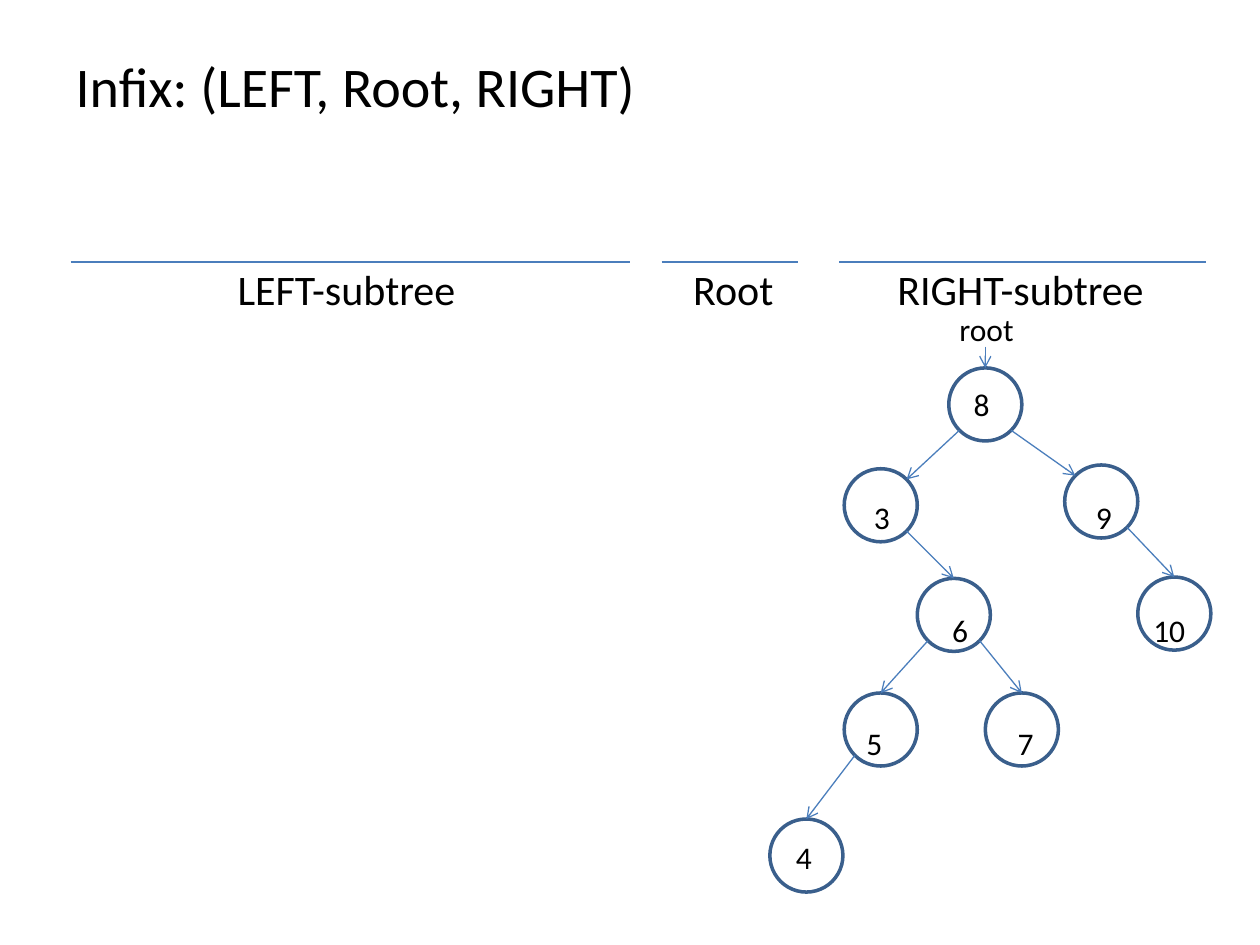
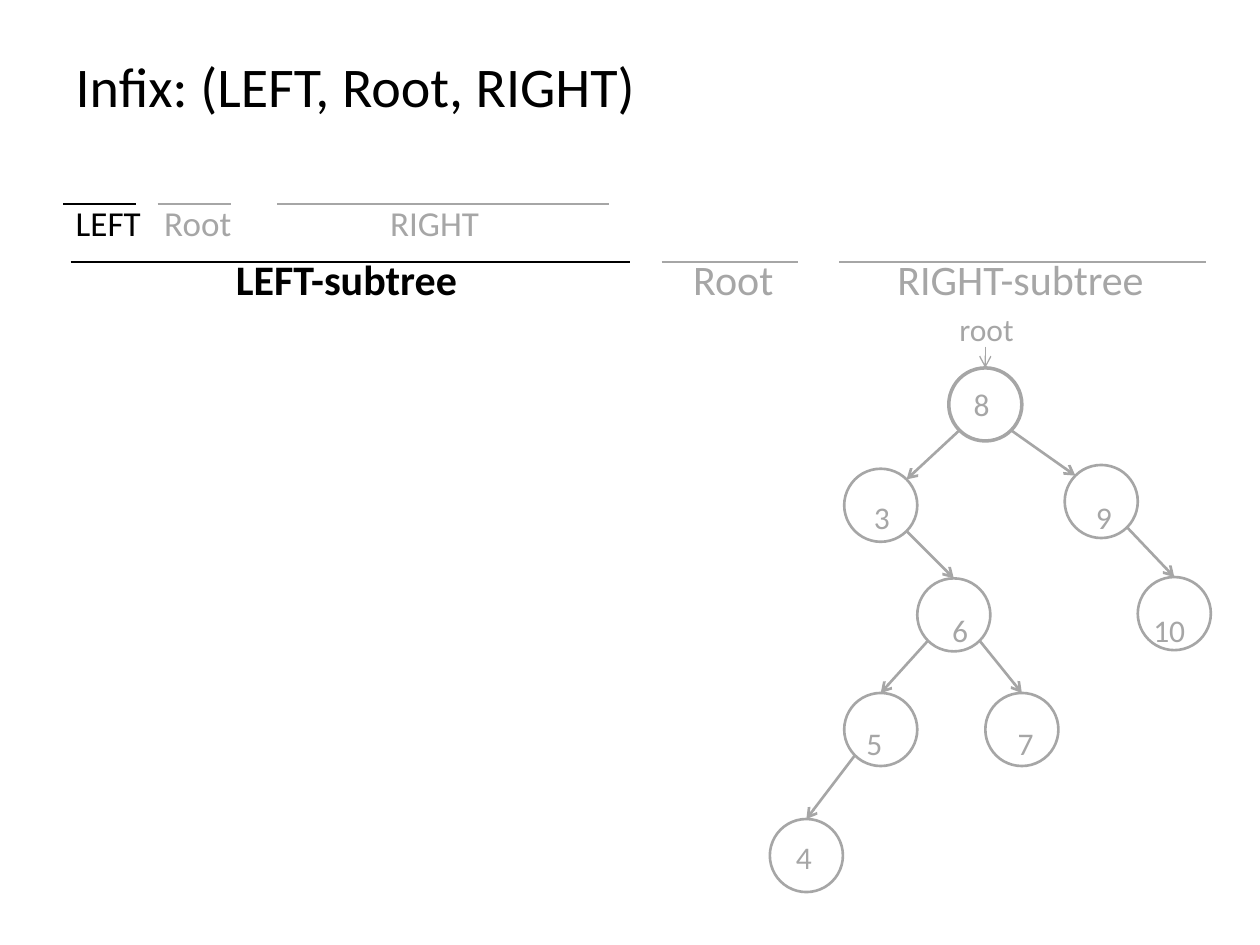
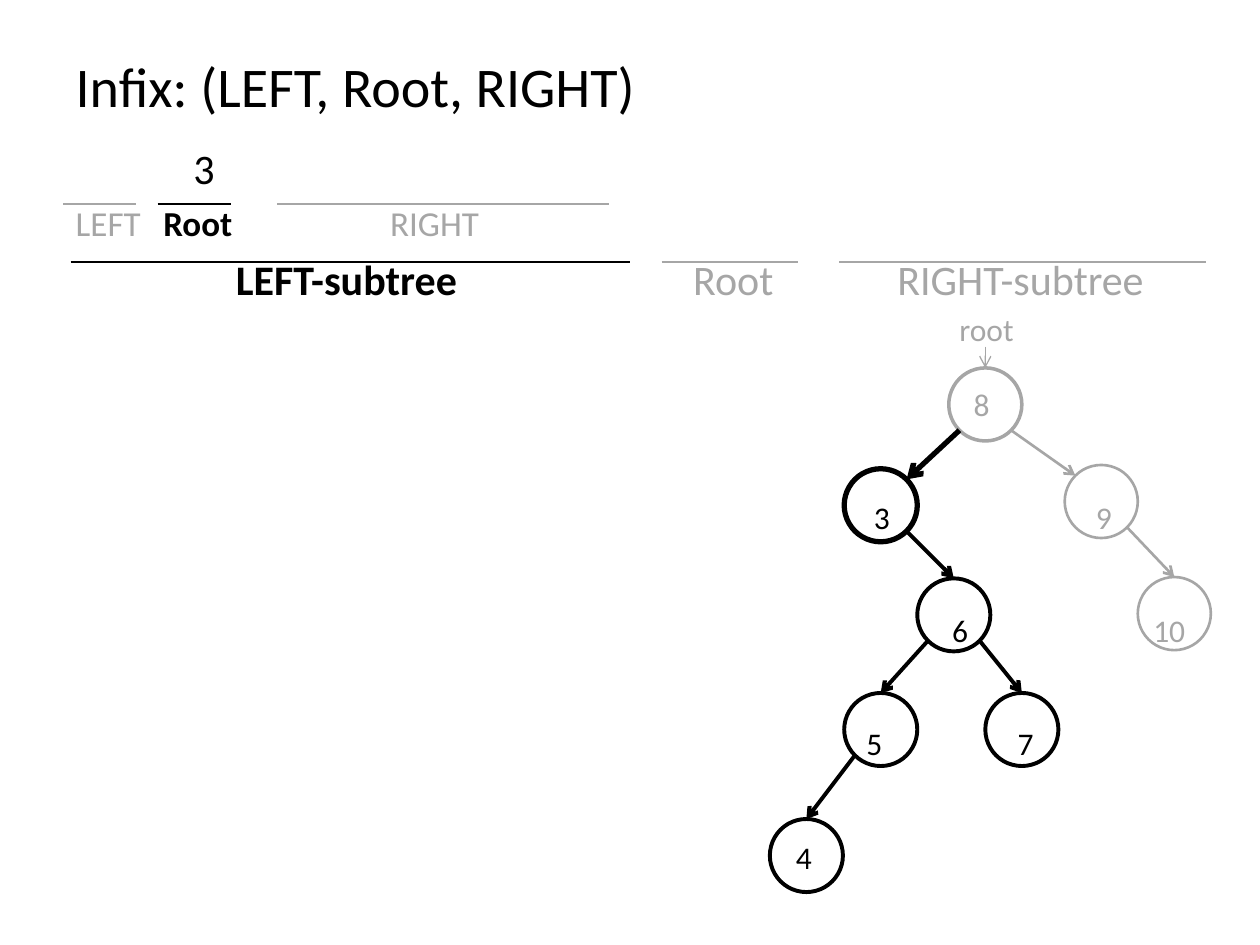
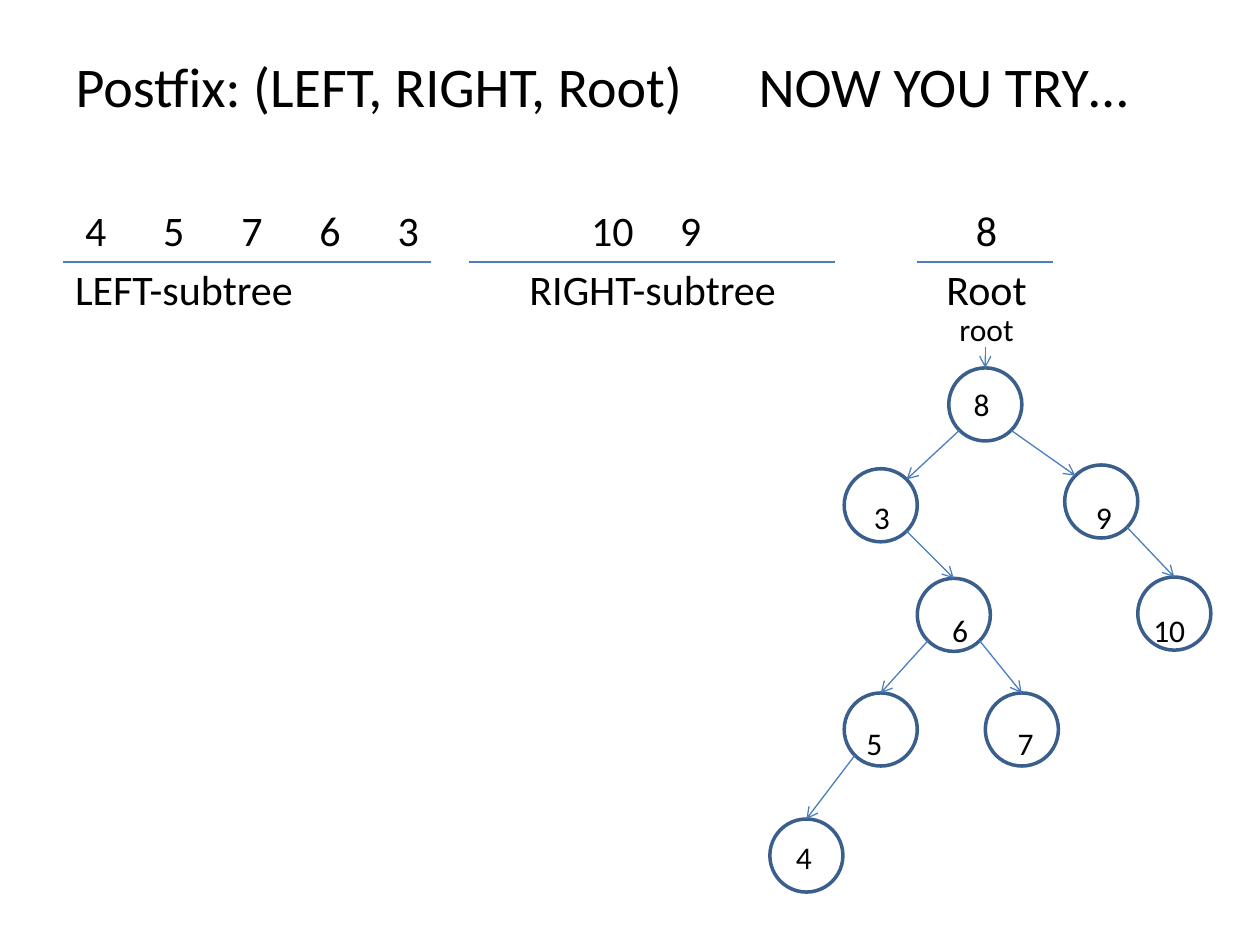
import math
from dataclasses import dataclass, field
from typing import Any, Optional

import pptx
import pptx.dml.color
import pptx.enum.shapes
import pptx.enum.text
import pptx.oxml.ns
import pptx.util
from lxml import etree
from pptx.util import Inches

RGBColor = pptx.dml.color.RGBColor
qn = pptx.oxml.ns.qn

# Shared colours and measures
BLACK = RGBColor(0x00, 0x00, 0x00)
GREY = RGBColor(0xA6, 0xA6, 0xA6)
NODE_BLUE = RGBColor(0x3A, 0x5F, 0x8C)
LINE_BLUE = RGBColor(0x4B, 0x7E, 0xBC)
FONT = "Calibri"
THIN = 0.75
DIAMETER = 0.58
RADIUS = DIAMETER / 2
TEXT_LEFT, TEXT_WIDTH = 0.5, 9.33
TREE_LEFT, TREE_TOP, TREE_WIDTH, TREE_HEIGHT = 5.99, 2.46, 3.6, 4.54
NO_MARGINS = dict.fromkeys(
    ("margin_left", "margin_right", "margin_top", "margin_bottom"), 0)


@dataclass(frozen=True)
class Pen:
    color: RGBColor
    width: float = THIN


@dataclass(frozen=True)
class Label:
    """A text centred on a horizontal position of the page."""
    text: str
    center: float
    ink: RGBColor = BLACK
    bold: bool = False


@dataclass(frozen=True)
class Section:
    """A ruled part of the traversal, with its caption below the rule."""
    caption: str
    center: float
    start: float
    end: float


@dataclass(frozen=True)
class SectionRow:
    sections: list[Section]
    rule_y: float
    caption_top: float
    size: float = 24
    active: Optional[str] = None
    bold: bool = False
    muted: bool = False


@dataclass(frozen=True)
class ValueRow:
    labels: list[Label]
    top: float


@dataclass(frozen=True)
class Node:
    value: int
    left: float
    top: float
    label_center: float
    level: int
    parent: Optional[int] = None

    @property
    def middle(self) -> tuple[float, float]:
        return self.left + RADIUS, self.top + RADIUS

    def corner(self, across: int, down: int) -> tuple[float, float]:
        """Point on the circle, diagonally from its middle."""
        reach = RADIUS * math.sqrt(0.5)
        x, y = self.middle
        return x + across * reach, y + down * reach


@dataclass(frozen=True)
class TreeLook:
    node: Pen
    edge: Pen
    ink: RGBColor
    special: dict[int, Pen] = field(default_factory=dict)

    def ink_of(self, value: int) -> RGBColor:
        return self.special[value].color if value in self.special else self.ink


@dataclass(frozen=True)
class TraversalSlide:
    title: str
    look: TreeLook
    section_rows: list[SectionRow]
    value_rows: list[ValueRow] = field(default_factory=list)


# The binary search tree
NODES = [
    Node(8, 7.53, 2.92, 7.79, 0),
    Node(3, 6.7, 3.72, 7.0, 1, 8),
    Node(9, 8.45, 3.69, 8.76, 1, 8),
    Node(6, 7.28, 4.59, 7.62, 2, 3),
    Node(5, 6.7, 5.5, 6.94, 3, 6),
    Node(7, 7.82, 5.5, 8.14, 3, 6),
    Node(10, 9.03, 4.58, 9.28, 2, 9),
    Node(4, 6.11, 6.5, 6.38, 4, 5),
]
BY_VALUE = {node.value: node for node in NODES}

PLAIN = TreeLook(Pen(NODE_BLUE, 2), Pen(LINE_BLUE), BLACK)
FADED = TreeLook(Pen(GREY, 1.5), Pen(GREY, 1.5), GREY, {8: Pen(GREY, 2)})
LEFT_ACTIVE = TreeLook(
    FADED.node, FADED.edge, GREY,
    FADED.special | {3: Pen(BLACK, 3)}
    | {value: Pen(BLACK, 2.25) for value in (4, 5, 6, 7)})

# The traversal sections
INFIX = [
    Section("LEFT-subtree", 2.75, 0.56, 5),
    Section("Root", 5.82, 5.25, 6.33),
    Section("RIGHT-subtree", 8.1, 6.66, 9.57),
]
INFIX_LEFT = [
    Section("LEFT", 0.86, 0.5, 1.08),
    Section("Root", 1.57, 1.25, 1.83),
    Section("RIGHT", 3.45, 2.2, 4.83),
]
POSTFIX = [
    Section("LEFT-subtree", 1.46, 0.5, 3.42),
    Section("RIGHT-subtree", 5.18, 3.72, 6.63),
    Section("Root", 7.83, 7.28, 8.36),
]
IN_LEFT = SectionRow(INFIX, 2.08, 2.01, active="LEFT-subtree", bold=True, muted=True)
POSTFIX_VALUES = (
    [Label(text, 0.76 + 0.62 * i) for i, text in enumerate("45763")]
    + [Label("10", 4.86), Label("9", 5.48), Label("8", 7.83)])

INFIX_TITLE = "Infix: (LEFT, Root, RIGHT)"
SLIDES = [
    TraversalSlide(INFIX_TITLE, PLAIN, [SectionRow(INFIX, 2.08, 2.09)]),
    TraversalSlide(INFIX_TITLE, FADED, [
        SectionRow(INFIX_LEFT, 1.62, 1.6, 20, "LEFT", muted=True), IN_LEFT]),
    TraversalSlide(INFIX_TITLE, LEFT_ACTIVE, [
        SectionRow(INFIX_LEFT, 1.62, 1.6, 20, "Root", True, True), IN_LEFT],
        [ValueRow([Label("3", 1.62)], 1.13)]),
    TraversalSlide("Postfix: (LEFT, RIGHT, Root)\tNOW YOU TRY…", PLAIN,
                   [SectionRow(POSTFIX, 2.08, 2.09)],
                   [ValueRow(POSTFIX_VALUES, 1.62)]),
]


# Drawing helpers
def set_values(target: Any, values: dict[str, Any]) -> None:
    for name, value in values.items():
        setattr(target, name, value)


def format_font(font: Any, size: float, ink: RGBColor, bold: bool = False) -> None:
    set_values(font, {"name": FONT, "size": pptx.util.Pt(size), "bold": bold})
    font.color.rgb = ink


def draw_pen(line: Any, pen: Pen) -> None:
    line.color.rgb = pen.color
    line.width = pptx.util.Pt(pen.width)


def add_tabs(paragraph: Any, stops: list[float], align: str) -> None:
    tabs = etree.SubElement(paragraph._p.get_or_add_pPr(), qn("a:tabLst"))
    for stop in stops:
        etree.SubElement(tabs, qn("a:tab"), pos=str(int(Inches(stop))), algn=align)


def add_text_frame(slide: Any, left: float, top: float, width: float,
                   height: float) -> Any:
    frame = slide.shapes.add_textbox(
        Inches(left), Inches(top), Inches(width), Inches(height)).text_frame
    set_values(frame, NO_MARGINS | {"word_wrap": True})
    return frame


def write_labels(paragraph: Any, labels: list[Label], left: float,
                 size: float) -> None:
    """Write labels on one line, each centred on its own tab stop."""
    add_tabs(paragraph, [label.center - left for label in labels], "ctr")
    for label in labels:
        run = paragraph.add_run()
        run.text = "\t" + label.text
        format_font(run.font, size, label.ink, label.bold)


def add_label_row(slide: Any, labels: list[Label], top: float, size: float) -> None:
    frame = add_text_frame(slide, TEXT_LEFT, top, TEXT_WIDTH, 0.4)
    write_labels(frame.paragraphs[0], labels, TEXT_LEFT, size)


def add_line(slide: Any, start: tuple[float, float], end: tuple[float, float],
             pen: Pen, arrow: bool = False) -> Any:
    connector = slide.shapes.add_connector(
        pptx.enum.shapes.MSO_CONNECTOR.STRAIGHT, *map(Inches, start + end))
    draw_pen(connector.line, pen)
    properties = connector._element.spPr
    if arrow:
        etree.SubElement(properties.find(qn("a:ln")), qn("a:tailEnd"), type="arrow")
    etree.SubElement(properties, qn("a:effectLst"))
    return connector


# Slide parts
def add_title(slide: Any, text: str) -> None:
    title = slide.shapes.title
    set_values(title, {"left": Inches(TEXT_LEFT), "top": Inches(0.36),
                       "width": Inches(TEXT_WIDTH), "height": Inches(0.7)})
    frame = title.text_frame
    set_values(frame, {"word_wrap": True,
                       "auto_size": pptx.enum.text.MSO_AUTO_SIZE.NONE,
                       "vertical_anchor": pptx.enum.text.MSO_ANCHOR.TOP})
    heading = frame.paragraphs[0]
    heading.alignment = pptx.enum.text.PP_ALIGN.LEFT
    if "\t" in text:
        add_tabs(heading, [5.42], "l")
    run = heading.add_run()
    run.text = text
    format_font(run.font, 32, BLACK)


def add_sections(slide: Any, row: SectionRow) -> None:
    captions = []
    for section in row.sections:
        active = section.caption == row.active
        faded = row.muted and not active
        ink = GREY if faded else BLACK
        captions.append(Label(section.caption, section.center, ink,
                              active and row.bold))
        add_line(slide, (section.start, row.rule_y), (section.end, row.rule_y),
                 Pen(ink if row.muted else LINE_BLUE))
    add_label_row(slide, captions, row.caption_top, row.size)


def add_tree(slide: Any, look: TreeLook) -> None:
    # Circles
    circles = {}
    for node in NODES:
        circle = slide.shapes.add_shape(
            pptx.enum.shapes.MSO_SHAPE.OVAL, Inches(node.left), Inches(node.top),
            Inches(DIAMETER), Inches(DIAMETER))
        circle.shadow.inherit = False
        circle.fill.background()
        draw_pen(circle.line, look.special.get(node.value, look.node))
        circles[node.value] = circle

    # Arrows: the first level is met at the corner, the others at the top
    for node in NODES:
        x = node.middle[0]
        if node.parent is None:
            start, pen = (x, 2.75), Pen(look.edge.color)
        else:
            parent = BY_VALUE[node.parent]
            side = -1 if x < parent.middle[0] else 1
            start = parent.corner(side, 1)
            pen = look.special.get(node.value, look.edge)
        if node.level == 1:
            add_line(slide, start, node.corner(-side, -1), pen, arrow=True)
        else:
            arrow = add_line(slide, start, (x, node.top), pen, arrow=True)
            arrow.end_connect(circles[node.value], 0)

    # Values, one line for each level
    frame = add_text_frame(slide, TREE_LEFT, TREE_TOP, TREE_WIDTH, TREE_HEIGHT)
    write_labels(frame.paragraphs[0], [Label("root", 7.83, look.ink)], TREE_LEFT, 18)
    for level in range(max(node.level for node in NODES) + 1):
        values = [Label(str(node.value), node.label_center, look.ink_of(node.value))
                  for node in sorted(NODES, key=lambda node: node.left)
                  if node.level == level]
        line = frame.add_paragraph()
        line.space_before = pptx.util.Pt(43 if level else 21.5)
        write_labels(line, values, TREE_LEFT, 18)


def main() -> None:
    deck = pptx.Presentation()
    set_values(deck, {"slide_width": Inches(10), "slide_height": Inches(7.5)})
    title_only = deck.slide_layouts[5]
    for content in SLIDES:
        slide = deck.slides.add_slide(title_only)
        add_title(slide, content.title)
        for values in content.value_rows:
            add_label_row(slide, values.labels, values.top, 24)
        for row in content.section_rows:
            add_sections(slide, row)
        add_tree(slide, content.look)
    deck.save("out.pptx")


if __name__ == "__main__":
    main()
